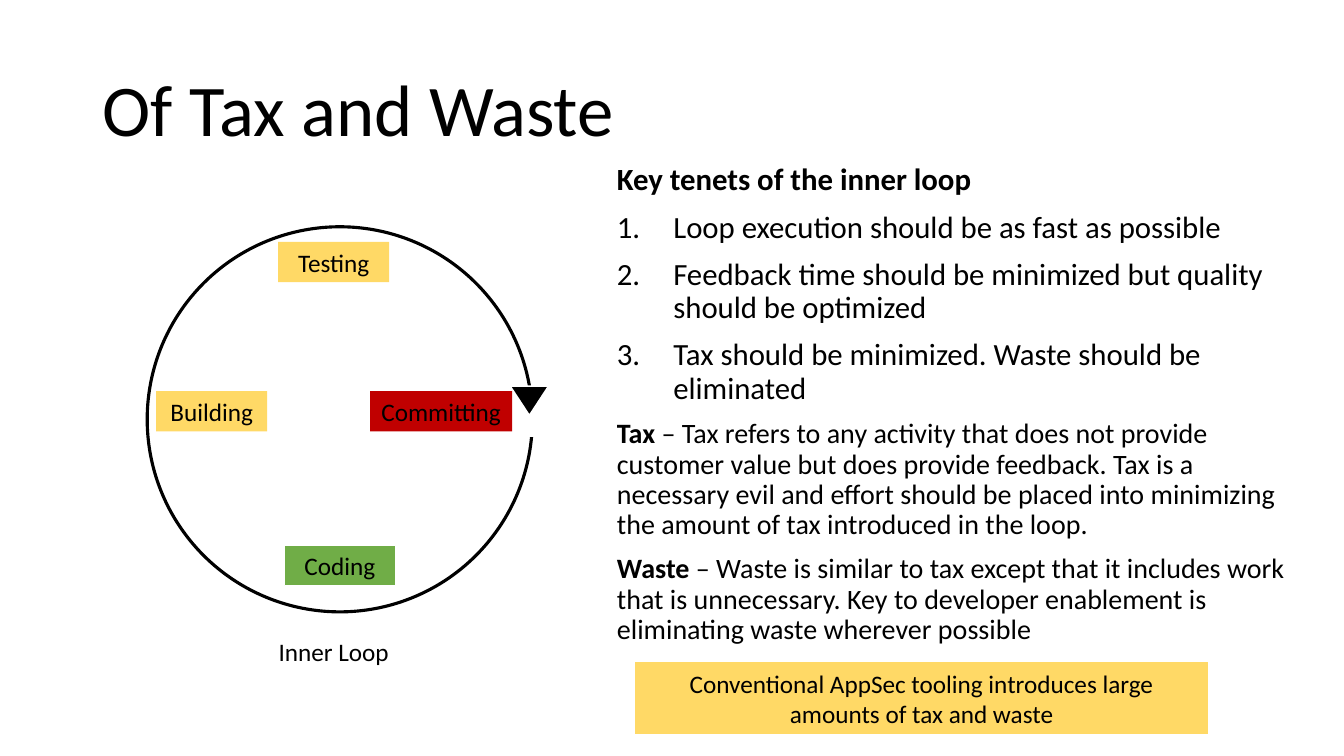
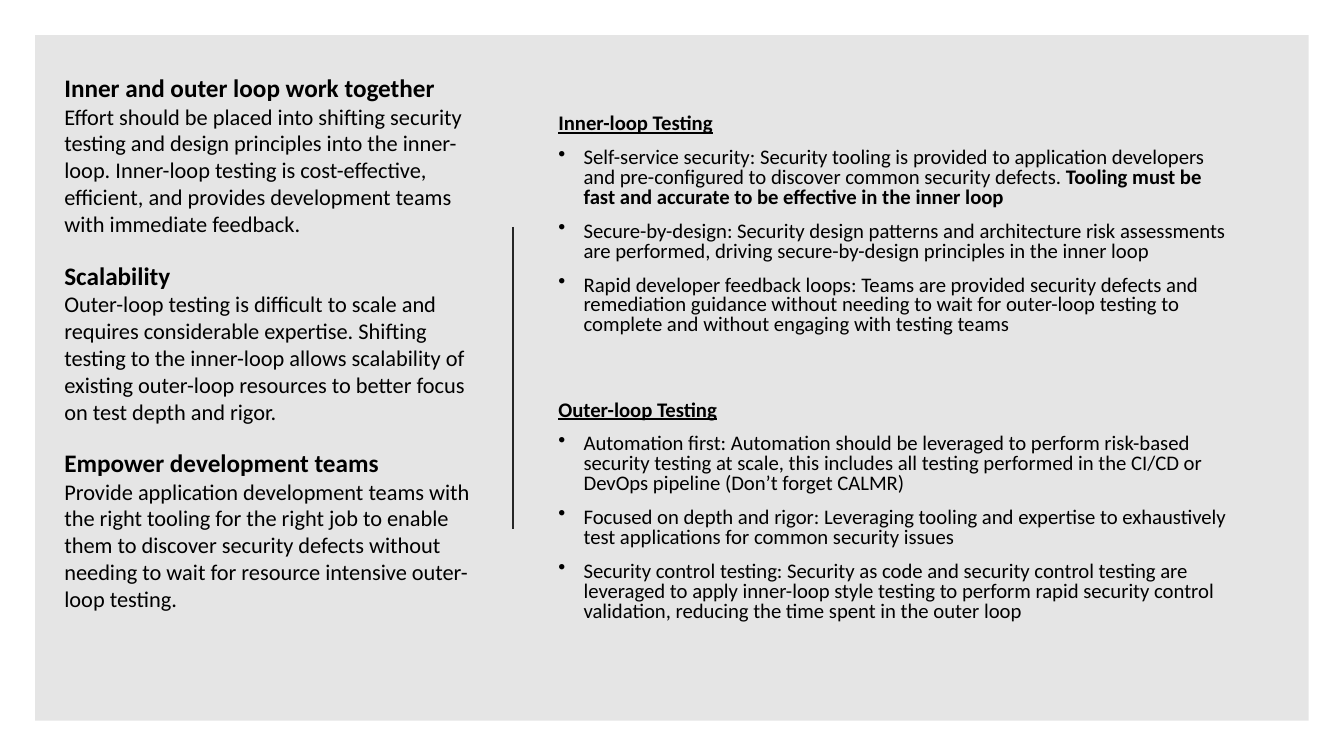
from lxml import etree
from pptx import Presentation
from pptx import util as u
from pptx.dml.color import RGBColor
from pptx.enum import shapes, text
from pptx.oxml.ns import qn

PX = 9144  # EMU per px, 100 px to the inch
FONT = "Calibri"
BLACK, WHITE, YELLOW, GREEN, RED, CHARCOAL = (
    "000000", "FFFFFF", "FFD966", "70AD47", "C00000", "262626")
RECT = shapes.MSO_SHAPE.RECTANGLE

TITLE = "Of Tax and Waste"
TENETS_HEADING = "Key tenets of the inner loop"
TENETS = [
    "Loop execution should be as fast as possible",
    "Feedback time should be minimized but quality should be optimized",
    "Tax should be minimized. Waste should be eliminated",
]
DEFINITIONS = [
    ("Tax ", "– Tax refers to any activity that does not provide customer value but does "
     "provide feedback. Tax is a necessary evil and effort should be placed into "
     "minimizing the amount of tax introduced in the loop."),
    ("Waste ", "– Waste is similar to tax except that it includes work that is unnecessary. "
     "Key to developer enablement is eliminating waste wherever possible"),
]
LOOP_STEPS = [  # label, left, top, width, fill, outline
    ("Coding", 282, 541, 110, GREEN, WHITE),
    ("Building", 155, 388, 110, YELLOW, None),
    ("Testing", 276, 240, 110, YELLOW, None),
    ("Committing", 367, 388, 141, RED, None),
]
LOOP_NAME = "Inner Loop"
TAKEAWAY = "Conventional AppSec tooling introduces large amounts of tax and waste"

BENEFITS = [
    ("Inner and outer loop work together",
     "Effort should be placed into shifting security testing and design principles into the "
     "inner-loop. Inner-loop testing is cost-effective, efficient, and provides development "
     "teams with immediate feedback."),
    ("Scalability",
     "Outer-loop testing is difficult to scale and requires considerable expertise. Shifting "
     "testing to the inner-loop allows scalability of existing outer-loop resources to better "
     "focus on test depth and rigor."),
    ("Empower development teams",
     "Provide application development teams with the right tooling for the right job to enable "
     "them to discover security defects without needing to wait for resource intensive "
     "outer-loop testing."),
]
TESTING = [  # heading, top, bullets as (plain text, bold ending)
    ("Inner-loop Testing", 109, [
        ("Self-service security: Security tooling is provided to application developers and "
         "pre-configured to discover common security defects. ",
         "Tooling must be fast and accurate to be effective in the inner loop"),
        ("Secure-by-design: Security design patterns and architecture risk assessments are "
         "performed, driving secure-by-design principles in the inner loop", ""),
        ("Rapid developer feedback loops: Teams are provided security defects and remediation "
         "guidance without needing to wait for outer-loop testing to complete and without "
         "engaging with testing teams", ""),
    ]),
    ("Outer-loop Testing", 393, [
        ("Automation first: Automation should be leveraged to perform risk-based security "
         "testing at scale, this includes all testing performed in the CI/CD or DevOps "
         "pipeline (Don’t forget CALMR)", ""),
        ("Focused on depth and rigor: Leveraging tooling and expertise to exhaustively test "
         "applications for common security issues", ""),
        ("Security control testing: Security as code and security control testing are "
         "leveraged to apply inner-loop style testing to perform rapid security control "
         "validation, reducing the time spent in the outer loop", ""),
    ]),
]


def emu(*lengths):
    return [u.Emu(length * PX) for length in lengths]


def color(value):
    return RGBColor.from_string(value)


def add_para(box, *spans, size=18, bold=False, underline=False, align=None,
             spacing=None, before=0, indent=0, bullet=None):
    """Append a paragraph; a span is text or (text, bold), a bullet (tag, attributes)."""
    frame = box.text_frame
    first = not frame.paragraphs[0].runs
    para = frame.paragraphs[0] if first else frame.add_paragraph()
    para.space_before = u.Pt(0 if first else before)
    para.alignment = align
    if spacing:
        para.line_spacing = spacing
    if bullet:
        tag, attributes = bullet
        properties = para._p.get_or_add_pPr()
        properties.set("marL", str(indent * PX))
        properties.set("indent", str(-indent * PX))
        etree.SubElement(properties, qn(tag), attributes)
    for item in spans:
        words, heavy = (item, bold) if isinstance(item, str) else item
        span = para.add_run()
        span.text = words
        span.font.name, span.font.size = FONT, u.Pt(size)
        span.font.bold, span.font.underline = heavy, underline
        span.font.color.rgb = color(BLACK)


def add_text_box(page, *place, anchor=text.MSO_ANCHOR.TOP):
    box = page.shapes.add_textbox(*emu(*place))
    box.text_frame.word_wrap = True
    box.text_frame.vertical_anchor = anchor
    return box


def add_shape(page, kind, *place, fill=None, line=None, width=1):
    shape = page.shapes.add_shape(kind, *emu(*place))
    shape.shadow.inherit = False
    if fill:
        shape.fill.solid()
        shape.fill.fore_color.rgb = color(fill)
    else:
        shape.fill.background()
    if line:
        shape.line.color.rgb = color(line)
        shape.line.width = u.Pt(width)
    else:
        shape.line.fill.background()
    return shape


def add_label(page, words, *place, **style):
    label = add_shape(page, RECT, *place, width=0.75, **style)
    label.text_frame.word_wrap = True
    add_para(label, words, align=text.PP_ALIGN.CENTER)


def build_tax_and_waste(page):
    title = add_text_box(page, 92, 40, 1150, 145, anchor=text.MSO_ANCHOR.MIDDLE)
    add_para(title, TITLE, size=52, spacing=0.9)

    body = add_text_box(page, 602, 158, 685, 518)
    rhythm = dict(spacing=0.9, before=10)
    add_para(body, TENETS_HEADING, size=22, bold=True, **rhythm)
    for tenet in TENETS:
        add_para(body, tenet, size=22, indent=56,
                 bullet=("a:buAutoNum", {"type": "arabicPeriod"}), **rhythm)
    for term, meaning in DEFINITIONS:
        add_para(body, (term, True), meaning, size=20, **rhythm)

    add_shape(page, shapes.MSO_SHAPE.OVAL, 146, 225, 382, 382, line=BLACK, width=2.25)
    add_shape(page, RECT, 483, 397, 100, 36, fill=WHITE, line=WHITE)
    arrowhead = add_shape(page, shapes.MSO_SHAPE.ISOSCELES_TRIANGLE, 506, 383, 38, 29,
                          fill=BLACK, line=WHITE)
    arrowhead.rotation = 180
    caption = add_text_box(page, 181, 626, 300, 40)
    add_para(caption, LOOP_NAME, align=text.PP_ALIGN.CENTER)
    for words, left, top, width, fill, line in LOOP_STEPS:
        add_label(page, words, left, top, width, 40, fill=fill, line=line)
    add_label(page, TAKEAWAY, 630, 657, 568, 71, fill=YELLOW, line=YELLOW)


def build_loops_together(page):
    panel = add_shape(page, RECT, 35, 35, 1263, 680, fill=BLACK)
    tint = panel.element.spPr.find(qn("a:solidFill"))[0]
    etree.SubElement(tint, qn("a:alpha"), {"val": "10000"})

    divider = page.shapes.add_connector(shapes.MSO_CONNECTOR.STRAIGHT,
                                        *emu(509, 225, 509, 525))
    divider.line.color.rgb = color(CHARCOAL)
    divider.line.width = u.Pt(1.5)
    etree.SubElement(divider.element.spPr, qn("a:effectLst"))

    rhythm = dict(size=14.8, spacing=0.8, before=10)
    for heading, top, bullets in TESTING:
        box = add_text_box(page, 544, top, 684, 252)
        add_para(box, heading, bold=True, underline=True, **rhythm)
        for plain, strong in bullets:
            spans = [plain, (strong, True)] if strong else [plain]
            add_para(box, *spans, indent=25, bullet=("a:buChar", {"char": "•"}), **rhythm)

    for row, (heading, detail) in enumerate(BENEFITS):
        box = add_text_box(page, 54, 67 + row * 186, 430, 175)
        add_para(box, heading, bold=True)
        add_para(box, detail, size=16)


def main():
    deck = Presentation()
    deck.slide_width, deck.slide_height = u.Inches(13.33), u.Inches(7.5)
    for build in (build_tax_and_waste, build_loops_together):
        build(deck.slides.add_slide(deck.slide_layouts[6]))
    deck.save("out.pptx")


if __name__ == "__main__":
    main()
